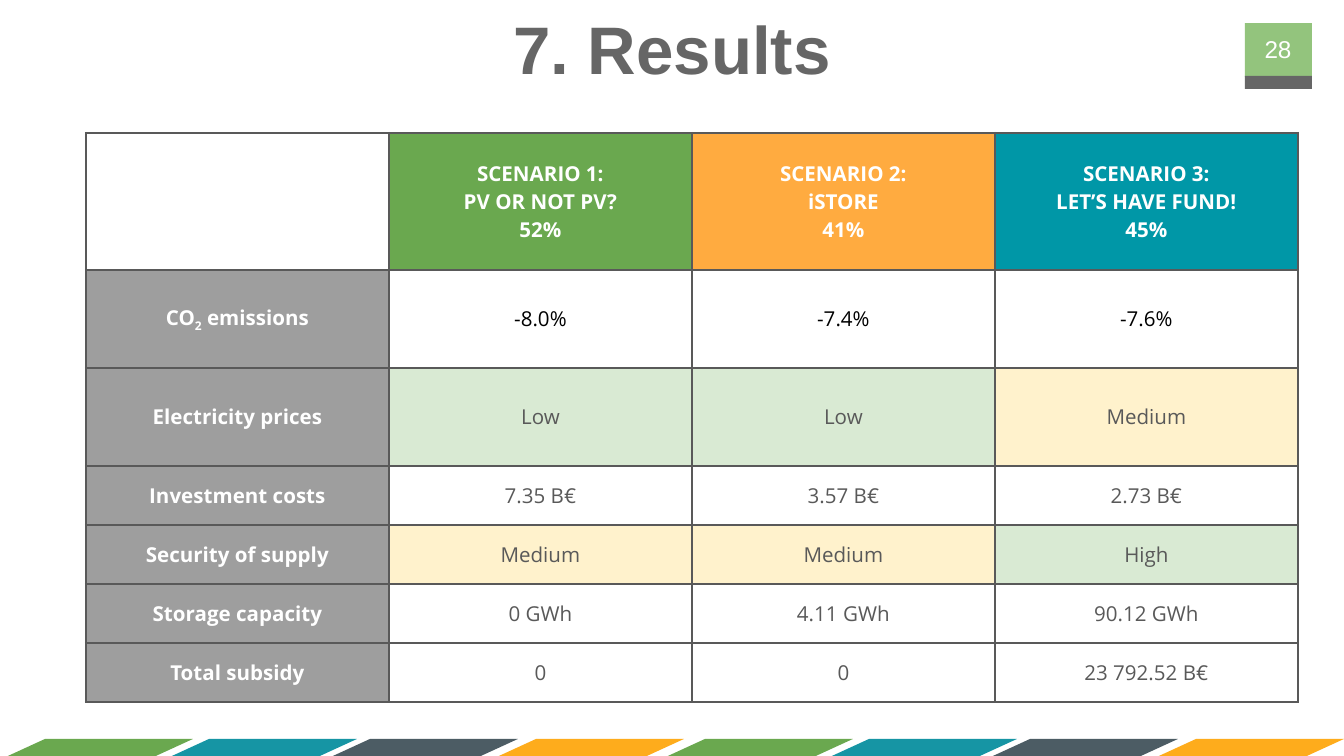
from lxml import etree
from pptx import Presentation
from pptx.dml.color import RGBColor
from pptx.enum.shapes import MSO_SHAPE
from pptx.enum.text import MSO_ANCHOR, MSO_AUTO_SIZE, PP_ALIGN
from pptx.oxml.ns import qn
from pptx.util import Pt

RECT = MSO_SHAPE.RECTANGLE
SLANT = MSO_SHAPE.FLOWCHART_DATA
MIDDLE = MSO_ANCHOR.MIDDLE
CENTER = PP_ALIGN.CENTER
NO_FIT = MSO_AUTO_SIZE.NONE

WHITE = RGBColor(0xFF, 0xFF, 0xFF)
BLACK = RGBColor(0x00, 0x00, 0x00)
DARK = RGBColor(0x59, 0x59, 0x59)
GRAY = RGBColor(0x66, 0x66, 0x66)
SILVER = RGBColor(0x9E, 0x9E, 0x9E)
GREEN = RGBColor(0x6A, 0xA8, 0x4F)
LIME = RGBColor(0x93, 0xC4, 0x7D)
AMBER = RGBColor(0xFF, 0xAB, 0x40)
CYAN = RGBColor(0x00, 0x97, 0xA7)
ORANGE = RGBColor(0xFE, 0xAC, 0x1C)
TEAL = RGBColor(0x16, 0x95, 0xA4)
SLATE = RGBColor(0x4C, 0x5C, 0x64)
MINT = RGBColor(0xD9, 0xEA, 0xD3)
CREAM = RGBColor(0xFF, 0xF2, 0xCC)

SCALE = 914400 / 134.4
INSET = 13
COL = 303
ROWS = [137, 98, 98, 59, 59, 59, 59]

HEADS = [
    ("SCENARIO 1:\nPV OR NOT PV?\n52%", GREEN),
    ("SCENARIO 2:\niSTORE\n41%", AMBER),
    ("SCENARIO 3:\nLET’S HAVE FUND!\n45%", CYAN),
]
RESULTS = [
    ("CO2 emissions", ["-8.0%", "-7.4%", "-7.6%"]),
    ("Electricity prices", ["Low", "Low", "Medium"]),
    ("Investment costs", ["7.35 B€", "3.57 B€", "2.73 B€"]),
    ("Security of supply", ["Medium", "Medium", "High"]),
    ("Storage capacity", ["0 GWh", "4.11 GWh", "90.12 GWh"]),
    ("Total subsidy", ["0", "0", "23 792.52 B€"]),
]
RATING = {"Low": MINT, "High": MINT, "Medium": CREAM}
STRIPES = [(8, GREEN), (172, TEAL), (333, SLATE), (499, ORANGE)]


def px(count):
    return round(count * SCALE)


def box(*sides):
    return [px(side) for side in sides]


def add_block(slide, kind, sides, color):
    shape = slide.shapes.add_shape(kind, *box(*sides))
    shape.shadow.inherit = False
    shape.fill.solid()
    shape.fill.fore_color.rgb = color
    shape.line.fill.background()


def set_inset(item):
    item.margin_left = item.margin_right = px(INSET)
    item.margin_top = item.margin_bottom = px(INSET)
    item.vertical_anchor = MIDDLE


def style_text(frame, font, size, color, bold=False):
    for para in frame.paragraphs:
        para.alignment = CENTER
        para.font.name = font
        para.font.size = Pt(size)
        para.font.bold = bold
        para.font.color.rgb = color


def add_title(slide, text):
    title = slide.shapes.title
    title.left, title.top, title.width, title.height = box(46, 5, 1252, 85)
    frame = title.text_frame
    frame.text = text
    frame.auto_size = NO_FIT
    set_inset(frame)
    style_text(frame, "Arial", 36, GRAY, True)


def add_badge(slide, number):
    add_block(slide, RECT, (1245, 23, 67, 54), LIME)
    add_block(slide, RECT, (1245, 76, 67, 13), GRAY)
    frame = slide.shapes.add_textbox(*box(1238, 20, 80, 58)).text_frame
    frame.word_wrap = True
    frame.text = number
    set_inset(frame)
    style_text(frame, "Arial", 13, WHITE)


def add_stripes(slide):
    for start in (0, 660):
        for left, color in STRIPES:
            add_block(slide, SLANT, (start + left, 739, 185, 17), color)


def add_border(cell):
    props = cell._tc.get_or_add_tcPr()
    for side in ("a:lnL", "a:lnR", "a:lnT", "a:lnB"):
        line = etree.SubElement(props, qn(side), w=str(Pt(1.5)))
        fill = etree.SubElement(line, qn("a:solidFill"))
        etree.SubElement(fill, qn("a:srgbClr"), val=str(DARK))


def fill_cell(cell, text, color, back=None, bold=False):
    add_border(cell)
    if back is None:
        cell.fill.background()
    else:
        cell.fill.solid()
        cell.fill.fore_color.rgb = back
    set_inset(cell)
    cell.text_frame.text = text
    style_text(cell.text_frame, "Open Sans", 11, color, bold)


def lower_digit(cell):
    """Set the 2 of CO2 as a subscript."""
    para = cell.text_frame.paragraphs[0]
    start, end = para.text.split("2")
    para.runs[0].text = start
    digit = para.add_run()
    digit.text = "2"
    digit._r.get_or_add_rPr().set("baseline", "-25000")
    para.add_run().text = end


def add_results(slide):
    sides = box(86, 133, 4 * COL, sum(ROWS))
    table = slide.shapes.add_table(len(ROWS), 4, *sides).table
    table.first_row = table.horz_banding = False
    for col in table.columns:
        col.width = px(COL)
    for row, height in zip(table.rows, ROWS):
        row.height = px(height)

    fill_cell(table.cell(0, 0), "", DARK)
    for c, (text, back) in enumerate(HEADS, 1):
        fill_cell(table.cell(0, c), text, WHITE, back, True)
    for r, (label, values) in enumerate(RESULTS, 1):
        fill_cell(table.cell(r, 0), label, WHITE, SILVER, True)
        color = BLACK if r == 1 else DARK
        for c, value in enumerate(values, 1):
            fill_cell(table.cell(r, c), value, color, RATING.get(value))
    lower_digit(table.cell(1, 0))


def main():
    deck = Presentation()
    deck.slide_width, deck.slide_height = box(1344, 756)
    slide = deck.slides.add_slide(deck.slide_layouts[5])
    add_stripes(slide)
    add_badge(slide, "28")
    add_title(slide, "7. Results")
    add_results(slide)
    deck.save("out.pptx")


if __name__ == "__main__":
    main()
